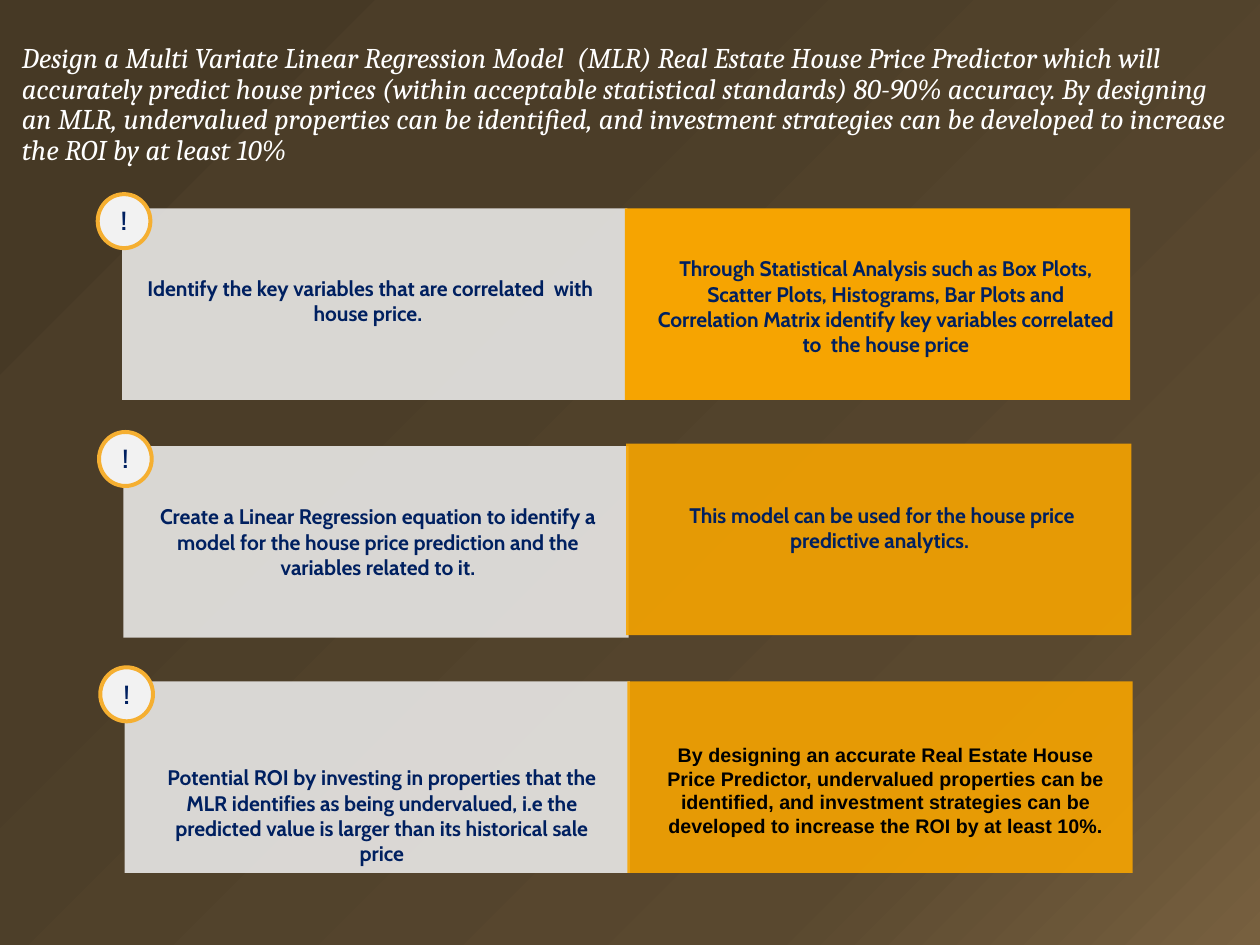
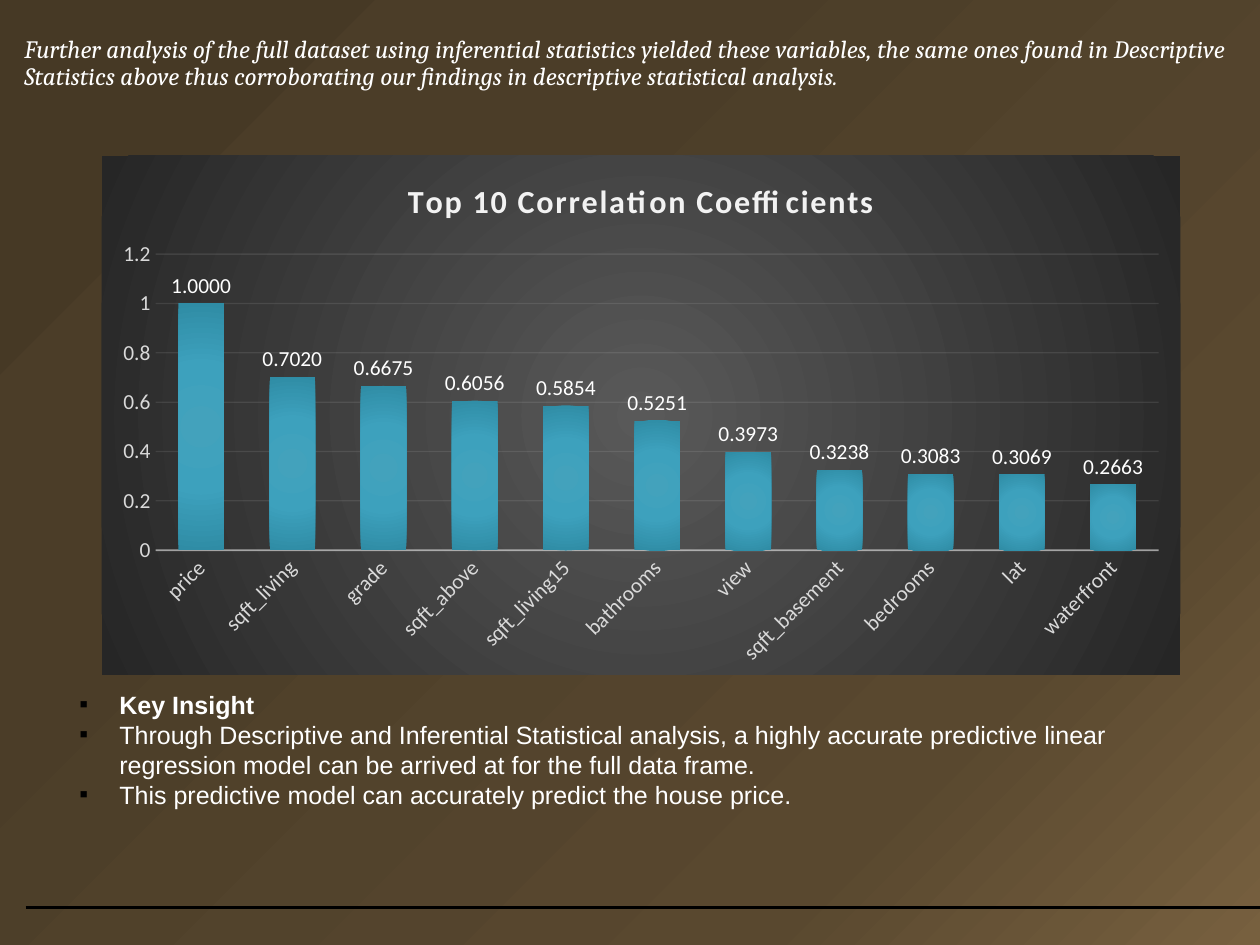
from pptx import Presentation
from pptx.chart.data import CategoryChartData
from pptx.dml.color import RGBColor
from pptx.enum.chart import XL_CHART_TYPE, XL_LABEL_POSITION, XL_TICK_MARK
from pptx.enum.shapes import MSO_CONNECTOR, MSO_SHAPE
from pptx.enum.text import MSO_ANCHOR, PP_ALIGN
from pptx.oxml import parse_xml
from pptx.oxml.ns import nsdecls, qn
from pptx.util import Inches, Pt

WHITE = RGBColor(0xFF, 0xFF, 0xFF)
BLACK = RGBColor(0, 0, 0)
NAVY = RGBColor(0x00, 0x20, 0x60)
PALE = RGBColor(0xF2, 0xF2, 0xF2)
GREY = RGBColor(0xD9, 0xD9, 0xD9)
GOLD = RGBColor(0xF6, 0xA4, 0x01)
RING = RGBColor(0xF5, 0xAF, 0x31)

# Gradients: stops (percent, colour) and focus (left, top, right, bottom)
BROWN = ([(0, "77603F"), (23, "59482F"), (69, "4B3D28"), (97, "463925")],
         (100, 100, 0, 0))
SLATE = ([(0, "595959"), (100, "262626")], (50, 50, 50, 50))
TEAL = ([(0, "43A2BC"), (50, "3DA1BD"), (100, "2F8CA5")],
        (100, 100, 100, 100))

CARD_W, CARD_H, STEP = 3.93, 1.49, 3.91

# Each row: left edge, tops and opacity of the cards, then the two texts
# as (left, top, height, wording, format)
ROWS = [
    (0.95, 1.62, 1.62, 100,
     (0.99, 2.09, 0.5, "Identify the key variables that are correlated  with "
      "house price. ", {}),
     (5, 1.94, 0.89, "Through Statistical Analysis such as Box Plots, Scatter "
      "Plots, Histograms, Bar Plots and Correlation Matrix identify key "
      "variables correlated to  the house price", {})),
    (0.96, 3.47, 3.45, 90,
     (1.05, 3.87, 0.69, "Create a Linear Regression equation to identify a "
      "model for the house price prediction and the variables related to it.",
      {}),
     (4.97, 3.86, 0.5, "This model can be used for the house price predictive "
      "analytics. ", {})),
    (0.97, 5.3, 5.3, 90,
     (1.08, 5.9, 0.69, "Potential ROI by investing in properties that the MLR "
      "identifies as being undervalued, i.e the predicted value is larger "
      "than its historical sale price", {}),
     (5, 5.73, 0.84, "By designing an accurate Real Estate House Price "
      "Predictor, undervalued properties can be identified, and investment "
      "strategies can be developed to increase the ROI by at least 10%.",
      {"font": "Arial", "size": 11, "color": BLACK})),
]

SCORES = {
    "price": 1, "sqft_living": 0.702, "grade": 0.6675, "sqft_above": 0.6056,
    "sqft_living15": 0.5854, "bathrooms": 0.5251, "view": 0.3973,
    "sqft_basement": 0.3238, "bedrooms": 0.3083, "lat": 0.3069,
    "waterfront": 0.2663,
}


def box(*sizes):
    return [Inches(size) for size in sizes]


# Fills
def blend(stops, focus):
    marks = "".join(f'<a:gs pos="{pos * 1000}"><a:srgbClr val="{tone}"/></a:gs>'
                    for pos, tone in stops)
    edges = " ".join(f'{side}="{val * 1000}"'
                     for side, val in zip("ltrb", focus))
    return parse_xml(
        f'<a:gradFill {nsdecls("a")} rotWithShape="1"><a:gsLst>{marks}</a:gsLst>'
        f'<a:path path="circle"><a:fillToRect {edges}/></a:path></a:gradFill>')


def shade(fill, host, grad):
    fill.solid()
    old = host.find(".//" + qn("a:solidFill"))
    old.getparent().replace(old, blend(*grad))


def fade(host, pct):
    tone = host.find(".//" + qn("a:srgbClr"))
    tone.append(parse_xml(f'<a:alpha {nsdecls("a")} val="{pct * 1000}"/>'))


# Text
def style(font, name, size, color, bold=False, italic=False):
    font.name, font.size, font.bold, font.italic = name, Pt(size), bold, italic
    font.color.rgb = color


def write(para, text, font="Cabin", size=11.8, color=NAVY, bold=True,
          italic=False, align=PP_ALIGN.CENTER, space=None):
    para.alignment = align
    if space:
        para.line_spacing = space
    run = para.add_run()
    run.text = text
    style(run.font, font, size, color, bold, italic)


def frame(slide, place, inset=True):
    area = slide.shapes.add_textbox(*box(*place)).text_frame
    area.word_wrap = True
    if not inset:
        area.margin_left = area.margin_right = 0
        area.margin_top = area.margin_bottom = 0
    return area


def dot(para):
    props = para._p.get_or_add_pPr()
    props.set("marL", str(Inches(0.31)))
    props.set("indent", str(-Inches(0.31)))
    for part in (f'<a:buClr {nsdecls("a")}><a:srgbClr val="{BLACK}"/></a:buClr>',
                 f'<a:buFont {nsdecls("a")} typeface="Arial"/>',
                 f'<a:buChar {nsdecls("a")} char="▪"/>'):
        props.append(parse_xml(part))


# Shapes
def shape(slide, kind, place, color, pct=100, line=None):
    form = slide.shapes.add_shape(kind, *box(*place))
    form.shadow.inherit = False
    form.fill.solid()
    form.fill.fore_color.rgb = color
    if pct < 100:
        fade(form.element, pct)
    if line:
        form.line.color.rgb = line
        form.line.width = Pt(2.25)
    else:
        form.line.fill.background()
    return form


def badge(slide, left, top):
    form = shape(slide, MSO_SHAPE.OVAL, (left, top, 0.41, 0.42), PALE, line=RING)
    form.text_frame.vertical_anchor = MSO_ANCHOR.MIDDLE
    write(form.text_frame.paragraphs[0], "!", size=13.7)


def row(slide, left, top, side, pct, *notes):
    shape(slide, MSO_SHAPE.RECTANGLE, (left, top, CARD_W, CARD_H), PALE, 85)
    shape(slide, MSO_SHAPE.RECTANGLE, (left + STEP, side, CARD_W, CARD_H),
          GOLD, pct)
    badge(slide, left - 0.19, top - 0.11)
    for x, y, high, text, form in notes:
        write(frame(slide, (x, y, 3.78, high)).paragraphs[0], text, **form)


def rule(slide, left, right, y):
    line = slide.shapes.add_connector(MSO_CONNECTOR.STRAIGHT,
                                      *box(left, y, right, y))
    line.line.color.rgb = BLACK
    line.line.width = Pt(2)
    line.element.spPr.append(parse_xml(f'<a:effectLst {nsdecls("a")}/>'))


# Chart
def graph(slide, place):
    data = CategoryChartData(number_format="0.0000")
    data.categories = list(SCORES)
    data.add_series("price", list(SCORES.values()))
    chart = slide.shapes.add_chart(XL_CHART_TYPE.COLUMN_CLUSTERED,
                                   *box(*place), data).chart
    root = chart.element
    style(chart.font, "Calibri", 10, BLACK)
    chart.has_legend = False

    # Title
    chart.has_title = True
    para = chart.chart_title.text_frame.paragraphs[0]
    write(para, "Top 10 Correlation Coefficients", font="Calibri", size=18,
          color=PALE)
    para.runs[0].font._element.set("spc", "100")
    chart.chart_title.include_in_layout = False

    # Columns and their labels
    plot = chart.plots[0]
    plot.gap_width, plot.overlap, plot.vary_by_categories = 100, -24, False
    shade(plot.series[0].format.fill, root.xpath(".//c:ser")[0], TEAL)
    plot.has_data_labels = True
    labels = plot.data_labels
    labels.show_value = True
    labels.number_format, labels.number_format_is_linked = "0.0000", False
    labels.position = XL_LABEL_POSITION.OUTSIDE_END
    style(labels.font, "Calibri", 12, WHITE)

    # Axes
    cats, vals = chart.category_axis, chart.value_axis
    for axis in (cats, vals):
        axis.major_tick_mark = axis.minor_tick_mark = XL_TICK_MARK.NONE
        style(axis.tick_labels.font, "Calibri", 12, GREY)
    vals.minimum_scale, vals.maximum_scale, vals.major_unit = 0, 1.2, 0.2
    vals.tick_labels.number_format = "General"
    vals.tick_labels.number_format_is_linked = False
    vals.format.line.fill.background()
    vals.has_major_gridlines = True
    grid = vals.major_gridlines.format.line
    for line, width, where, pct in (
            (cats.format.line, 1, ".//c:catAx/c:spPr", 54),
            (grid, 0.75, ".//c:majorGridlines", 10)):
        line.color.rgb = PALE
        line.width = Pt(width)
        fade(root.xpath(where)[0], pct)
    root.xpath(".//c:catAx/c:txPr/a:bodyPr")[0].set("rot", "-2700000")

    # Plot position and backdrop
    area = root.xpath(".//c:plotArea")[0]
    for old in area.findall(qn("c:layout")):
        area.remove(old)
    spots = "".join(f'<c:{key} val="{val}"/>' for key, val in (
        ("layoutTarget", "inner"), ("xMode", "edge"), ("yMode", "edge"),
        ("x", 0.05), ("y", 0.19), ("w", 0.93), ("h", 0.57)))
    area.insert(0, parse_xml(f'<c:layout {nsdecls("c")}><c:manualLayout>{spots}'
                             '</c:manualLayout></c:layout>'))
    back = parse_xml(f'<c:spPr {nsdecls("c", "a")}><a:ln><a:noFill/></a:ln>'
                     '</c:spPr>')
    back.insert(0, blend(*SLATE))
    root.find(qn("c:txPr")).addprevious(back)


# Slides
def page(deck, place, title, size):
    slide = deck.slides.add_slide(deck.slide_layouts[6])
    shade(slide.background.fill, slide.element, BROWN)
    write(frame(slide, place, inset=False).paragraphs[0], title, font="Cambria",
          size=size, color=WHITE, bold=False, italic=True,
          align=PP_ALIGN.LEFT, space=0.9)
    return slide


def main():
    deck = Presentation()
    deck.slide_width, deck.slide_height = box(9.8, 7.35)

    # Goals
    goals = page(
        deck, (0.17, 0.34, 9.44, 0.97),
        "Design a Multi Variate Linear Regression Model  (MLR) Real Estate House "
        "Price Predictor which will accurately predict house prices (within "
        "acceptable statistical standards) 80-90% accuracy. By designing an MLR, "
        "undervalued properties can be identified, and investment strategies can "
        "be developed to increase the ROI by at least 10%", 16)
    for item in ROWS:
        row(goals, *item)

    # Findings
    finds = page(
        deck, (0.19, 0.29, 9.43, 0.42),
        "Further analysis of the full dataset using inferential statistics "
        "yielded these variables, the same ones found in Descriptive Statistics "
        "above thus corroborating our findings in descriptive statistical "
        "analysis.", 14)
    rule(finds, 0.2, 9.8, 7.06)
    area = frame(finds, (0.52, 5.31, 8.53, 1.75))
    for num, text in enumerate((
            "Key Insight",
            "Through Descriptive and Inferential Statistical analysis, a highly "
            "accurate predictive linear regression model can be arrived at for "
            "the full data frame.",
            "This predictive model can accurately predict the house price.")):
        para = area.add_paragraph() if num else area.paragraphs[0]
        write(para, text, font="Arial", size=14, color=WHITE, bold=num == 0,
              align=PP_ALIGN.LEFT)
        dot(para)
    graph(finds, (0.79, 1.21, 8.39, 4.04))

    deck.save("out.pptx")


if __name__ == "__main__":
    main()
